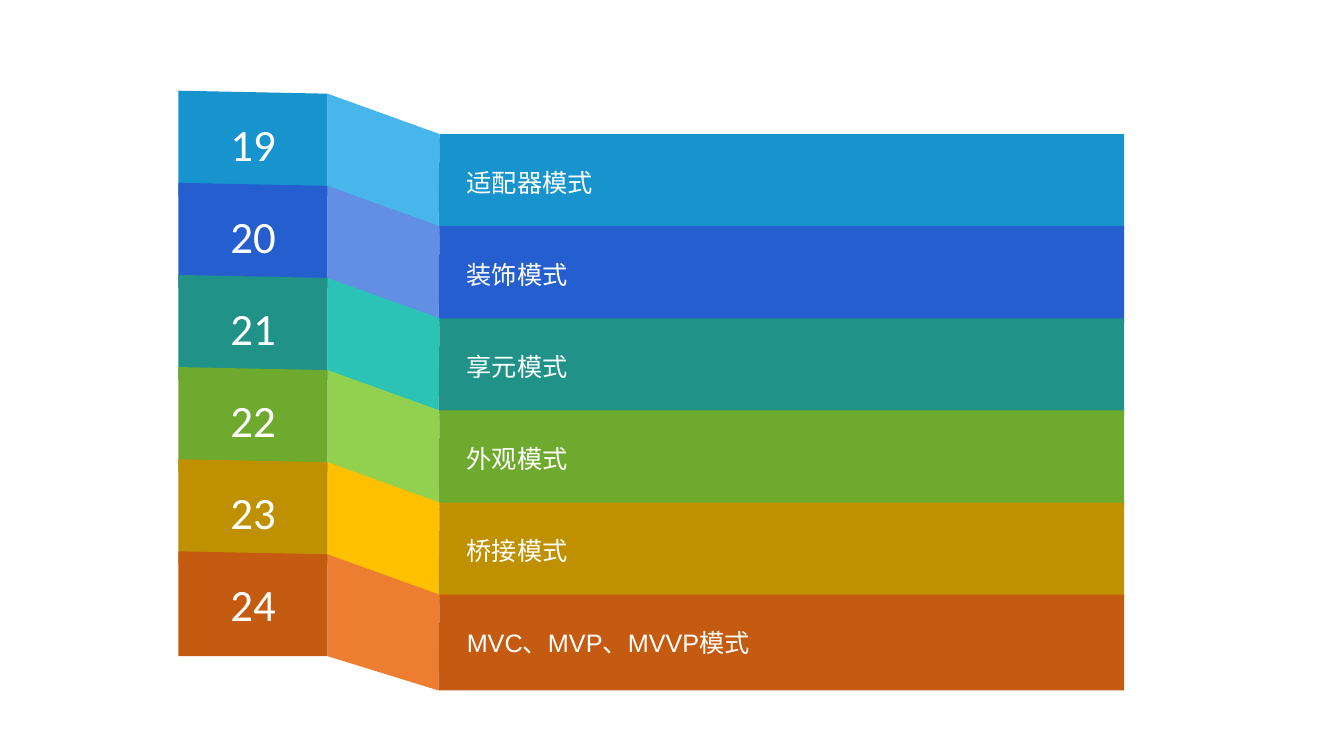
from pptx import Presentation
from pptx.dml.color import RGBColor
from pptx.enum.text import MSO_ANCHOR, PP_ALIGN
from pptx.util import Inches, Pt

COLORS = {
    "text": "FFFFFF",
    "blue": "1793CD", "blue_fold": "47B6EA",
    "indigo": "255FCF", "indigo_fold": "628EE3",
    "teal": "209288", "teal_fold": "2BC3B5",
    "green": "6EAA2E", "green_fold": "92D050",
    "gold": "BF9000", "gold_fold": "FFC000",
    "orange": "C55A11", "orange_fold": "ED7D31",
}
PATTERNS = [
    ("适配器模式", "blue"),
    ("装饰模式", "indigo"),
    ("享元模式", "teal"),
    ("外观模式", "green"),
    ("桥接模式", "gold"),
    ("MVC、MVP、MVVP模式", "orange"),
]
FIRST_NUMBER = 19
FIRST_TOP, LAST_TOP = 0.9, 5.47
PITCH = (LAST_TOP - FIRST_TOP) / (len(PATTERNS) - 1)

# Corners in inches; y is measured from the top of the row.
NUMBER_PANEL = [(1.77, 0), (1.77, 1.04), (3.25, 1.04), (3.25, 0.03)]
FOLD_PANEL = [(3.25, 0.03), (3.25, 1.04), (4.35, 1.38), (4.36, 0.43)]
NAME_PANEL = [(4.36, 0.43), (11.15, 0.43), (11.15, 1.38), (4.35, 1.38)]


def add_panel(row, corners, top, color):
    points = [(Inches(x), Inches(top + y)) for x, y in corners]
    builder = row.shapes.build_freeform(*points[0])
    builder.add_line_segments(points[1:], close=True)
    panel = builder.convert_to_shape()
    panel.fill.solid()
    panel.fill.fore_color.rgb = RGBColor.from_string(COLORS[color])
    panel.line.fill.background()
    panel.shadow.inherit = False
    return panel


def write_label(panel, label, font_name, size, alignment, side_inset):
    frame = panel.text_frame
    frame.word_wrap = True
    frame.vertical_anchor = MSO_ANCHOR.MIDDLE
    frame.margin_left = frame.margin_right = Inches(side_inset)
    frame.margin_top = frame.margin_bottom = Inches(0.05)
    paragraph = frame.paragraphs[0]
    paragraph.text = label
    paragraph.alignment = alignment
    paragraph.font.name = font_name
    paragraph.font.size = Pt(size)
    paragraph.font.color.rgb = RGBColor.from_string(COLORS["text"])


def add_pattern_row(slide, index, name, color):
    """Add one folded ribbon: number, slanted fold and pattern name."""
    top = FIRST_TOP + index * PITCH
    row = slide.shapes.add_group_shape()
    number_panel = add_panel(row, NUMBER_PANEL, top, color)
    write_label(number_panel, str(FIRST_NUMBER + index), "Calibri", 32, PP_ALIGN.CENTER, 0.1)
    add_panel(row, FOLD_PANEL, top, color + "_fold")
    name_panel = add_panel(row, NAME_PANEL, top, color)
    write_label(name_panel, name, "Arial", 18, PP_ALIGN.JUSTIFY, 0.28)


def main():
    presentation = Presentation()
    presentation.slide_width = Inches(13.33)
    presentation.slide_height = Inches(7.5)
    slide = presentation.slides.add_slide(presentation.slide_layouts[6])
    for index, (name, color) in enumerate(PATTERNS):
        add_pattern_row(slide, index, name, color)
    presentation.save("out.pptx")


if __name__ == "__main__":
    main()
